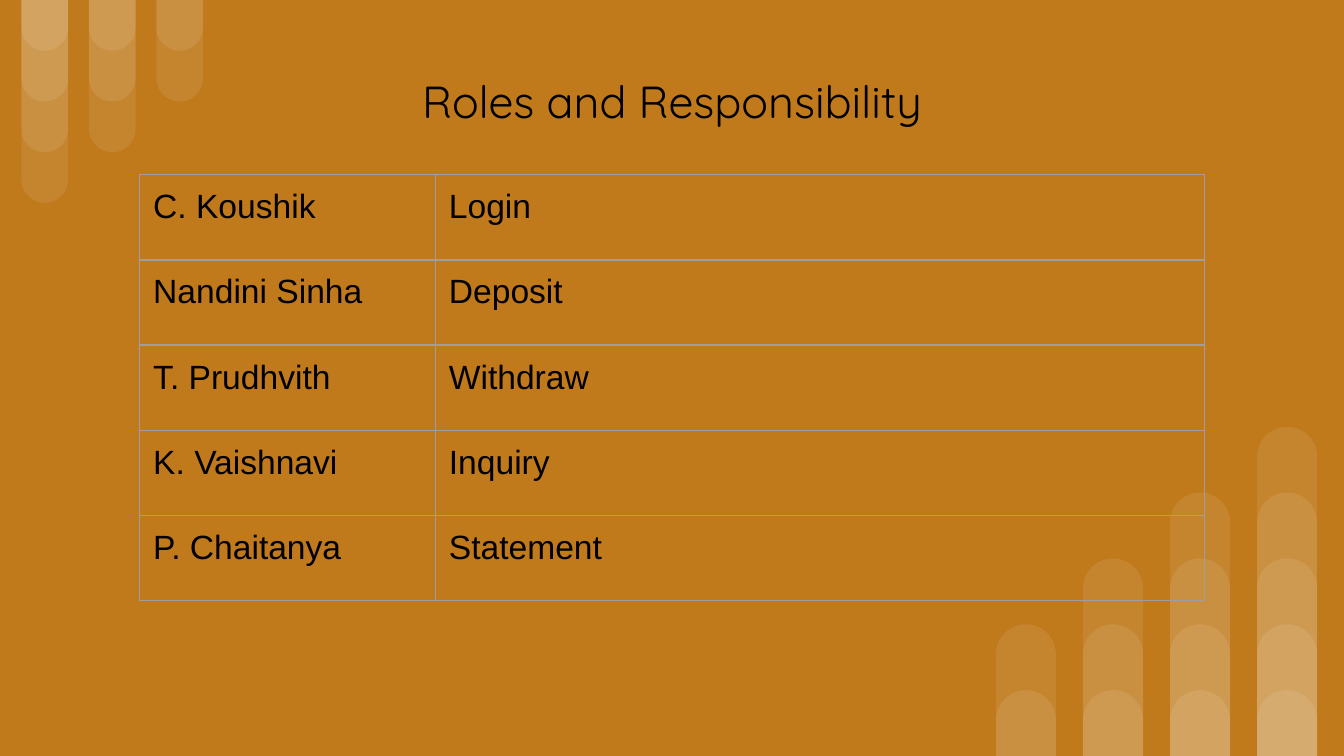
from lxml.etree import SubElement
from pptx import Presentation
from pptx.dml.color import RGBColor
from pptx.enum.shapes import MSO_SHAPE
from pptx.enum.text import PP_ALIGN
from pptx.oxml import parse_xml
from pptx.oxml.ns import nsdecls, qn
from pptx.util import Inches, Pt

WIDTH = 10
HEIGHT = WIDTH * 9 / 16
OCHRE = RGBColor(0xC0, 0x79, 0x1B)
WHITE = RGBColor(0xFF, 0xFF, 0xFF)
BLACK = RGBColor(0, 0, 0)
GREY = RGBColor(0x9E, 0x9E, 0x9E)
BAR_OPACITY = 9  # percent
BAR_SHARE = 0.69  # bar width as a share of the column pitch
MARGIN = Inches(0.1)

ROLES = [
    ("C. Koushik", "Login"),
    ("Nandini Sinha", "Deposit"),
    ("T. Prudhvith", "Withdraw"),
    ("K. Vaishnavi", "Inquiry"),
    ("P. Chaitanya", "Statement"),
]


def add_bar(shapes, x, y, w, h, hanging):
    bar = shapes.add_shape(MSO_SHAPE.ROUND_2_SAME_RECTANGLE,
                           Inches(x), Inches(y), Inches(w), Inches(h))
    bar.adjustments[0], bar.adjustments[1] = 0.5, 0
    bar.rotation = 180 if hanging else 0
    bar.shadow.inherit = False
    bar.line.fill.background()
    bar.fill.solid()
    bar.fill.fore_color.rgb = WHITE
    color = bar.fill._xPr.find(qn("a:solidFill"))[0]
    SubElement(color, qn("a:alpha")).set("val", str(BAR_OPACITY * 1000))


def add_bars(s, box, counts, hanging=False):
    """Stack overlapping bars of 1 to n steps in each column of the box."""
    x, y, w, h = box
    pitch = w / (len(counts) - 1 + BAR_SHARE)
    step = h / max(counts)
    group = s.shapes.add_group_shape()
    for column, count in enumerate(counts):
        for level in range(count, 0, -1):
            length = level * step
            top = y if hanging else y + h - length
            add_bar(group.shapes, x + column * pitch, top,
                    pitch * BAR_SHARE, length, hanging)


def add_title(s, box, text):
    tf = s.shapes.add_textbox(*map(Inches, box)).text_frame
    tf.word_wrap = True
    tf.margin_left = tf.margin_right = tf.margin_top = tf.margin_bottom = MARGIN
    p = tf.paragraphs[0]
    p.text = text
    p.alignment = PP_ALIGN.CENTER
    p.font.name, p.font.size = "Quicksand", Pt(24)
    p.font.color.rgb = BLACK


def set_borders(cell):
    tc_pr = cell._tc.get_or_add_tcPr()
    for i, side in enumerate(("lnL", "lnR", "lnT", "lnB")):
        tc_pr.insert(i, parse_xml(
            f'<a:{side} {nsdecls("a")} w="{Pt(0.75)}"><a:solidFill>'
            f'<a:srgbClr val="{GREY}"/></a:solidFill></a:{side}>'))


def add_roles_table(s, box, rows, name_width):
    x, y, w, h = box
    table = s.shapes.add_table(len(rows), 2, *map(Inches, box)).table
    table.first_row = table.horz_banding = False
    table.columns[0].width = Inches(name_width)
    table.columns[1].width = Inches(w - name_width)
    for r, row in enumerate(rows):
        for c, text in enumerate(row):
            cell = table.cell(r, c)
            cell.fill.background()
            cell.margin_left = cell.margin_right = MARGIN
            cell.margin_top = cell.margin_bottom = MARGIN
            set_borders(cell)
            cell.text = text
            p = cell.text_frame.paragraphs[0]
            p.font.name, p.font.size = "Arial", Pt(18)
            p.font.color.rgb = BLACK


def main():
    prs = Presentation()
    prs.slide_width, prs.slide_height = Inches(WIDTH), Inches(HEIGHT)
    s = prs.slides.add_slide(prs.slide_layouts[6])
    s.background.fill.solid()
    s.background.fill.fore_color.rgb = OCHRE
    add_bars(s, (0.16, 0, 1.35, 1.51), (4, 3, 2), hanging=True)
    add_bars(s, (7.41, HEIGHT - 2.45, 2.39, 2.45), (2, 3, 4, 5))
    add_roles_table(s, (1.04, 1.3, 7.92, 3.17), ROLES, 2.2)
    add_title(s, (2.18, 0.45, 5.64, 0.54), "Roles and Responsibility")
    prs.save("out.pptx")


if __name__ == "__main__":
    main()
